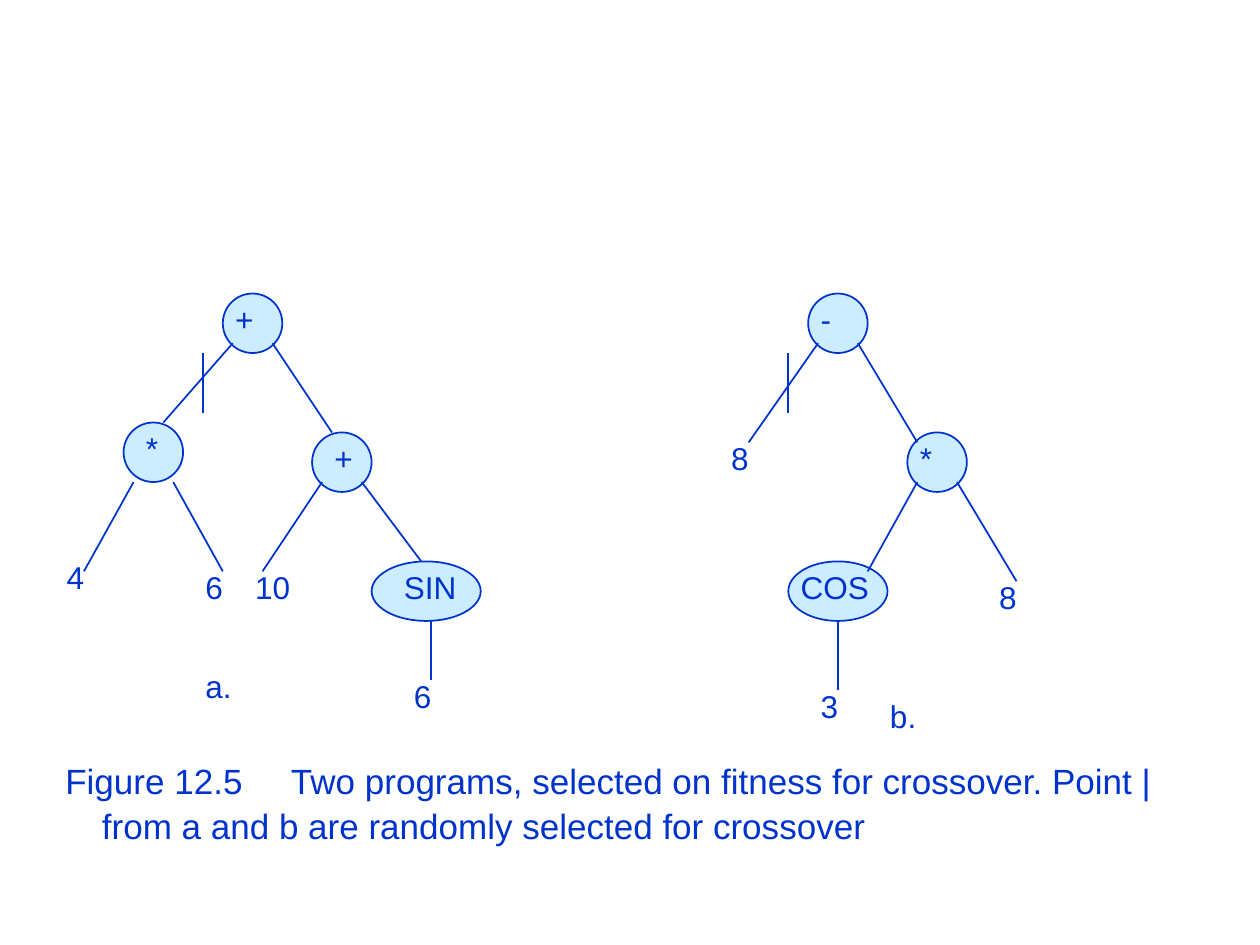
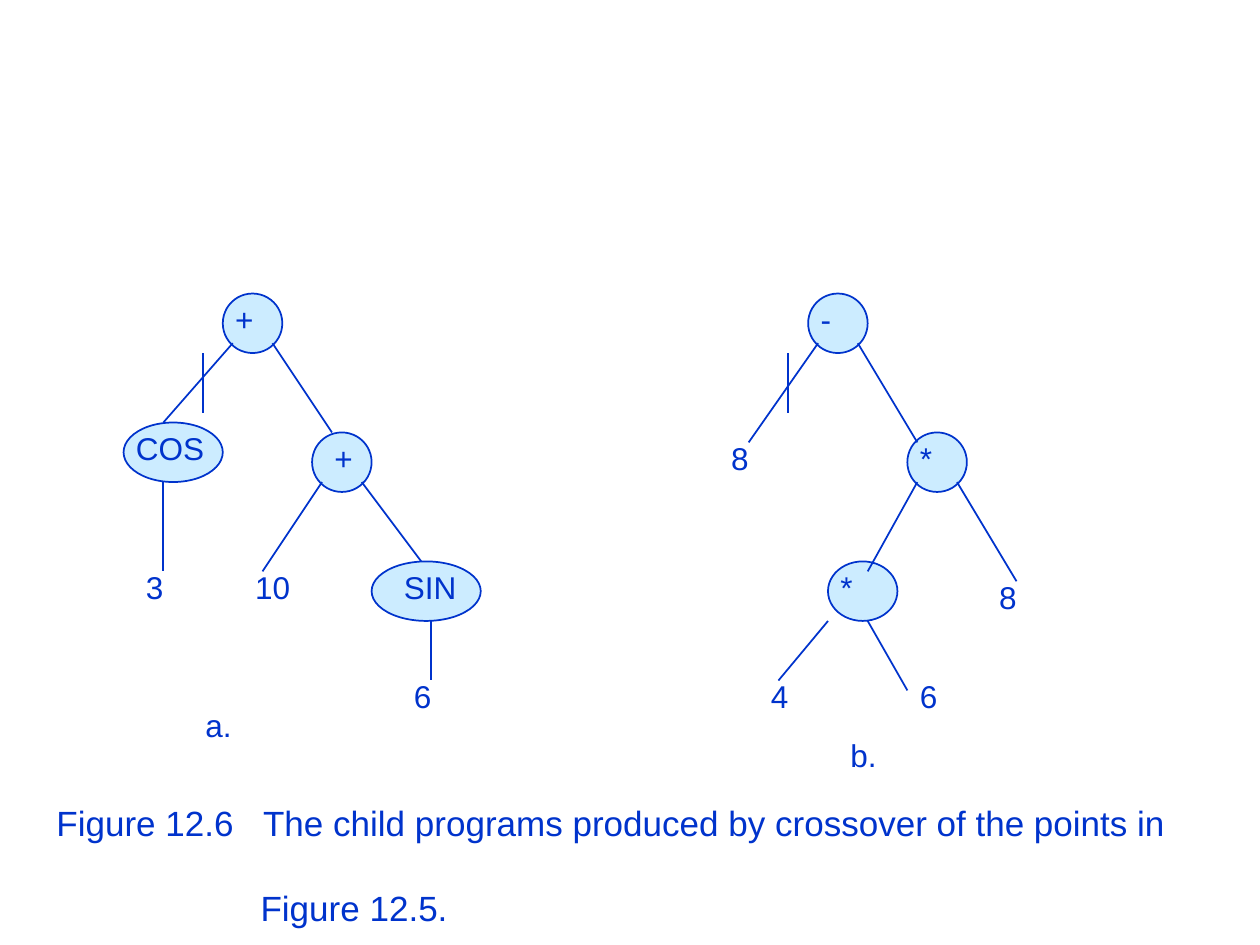
from lxml.etree import SubElement
from pptx import Presentation
from pptx.dml.color import RGBColor as Rgb
from pptx.enum.shapes import MSO_CONNECTOR as Connector, MSO_SHAPE as Shape
from pptx.oxml.ns import qn
from pptx.util import Inches, Pt

COLORS = {"ink": "0033CC", "node": "CCECFF"}
FONT = "Arial"

deck = Presentation()
deck.slide_width, deck.slide_height = Inches(10), Inches(7.5)
CELL = deck.slide_width / 127
LEFT, TOP = Inches(0.43), Inches(2.33)
NODE_HEIGHT, LABEL_HEIGHT = 6, 5


def place(column, row):
    return round(LEFT + column * CELL), round(TOP + row * CELL)


def write(para, text, size):
    para.text = text
    para.font.name = FONT
    para.font.size = Pt(size)
    para.font.color.rgb = Rgb.from_string(COLORS["ink"])


# nodes: column, row, width
shared_nodes = [(17, 0, 6), (26, 14, 6), (32, 27, 11), (86, 14, 6), (76, 0, 6)]
# branches: from column, from row, to column, to row
shared_branches = [
    (18, 5, 11, 13), (22, 5, 28, 14), (31, 19, 37, 27), (27, 19, 21, 28),
    (38, 33, 38, 39), (77, 5, 70, 15), (81, 5, 87, 15), (87, 19, 82, 28),
    (91, 19, 97, 29),
]
crossover_points = [(15, 6, 15, 12), (74, 6, 74, 12)]
# labels: text, column, row, width
shared_labels = [
    ("+", 17, 0, 7), ("+", 27, 14, 7), ("10", 19, 27, 7), ("SIN", 34, 27, 9),
    ("6", 35, 38, 7), ("-", 76, 0, 7), ("8", 67, 14, 7), ("*", 86, 14, 7),
    ("8", 94, 28, 7),
]

figures = [
    {
        "nodes": [(7, 13, 6), (74, 27, 10)],
        "branches": [(12, 19, 17, 28), (8, 19, 3, 28), (79, 33, 79, 40)],
        "labels": [
            ("*", 8, 13, 7), ("4", 0, 26, 7), ("6", 14, 27, 7),
            ("COS", 74, 27, 13), ("3", 76, 39, 7),
            ("a.", 14, 37, 7), ("b.", 83, 40, 7),
        ],
        "caption_at": (0.42, 5.95, 9.25, 0.9),
        "line_spacing": 1.08,
        "caption": [
            ("Figure 12.5\tTwo programs, selected on fitness for crossover. Point | "
             "from a and b are randomly selected for crossover", 0.29, -0.29, 1.72, 0),
        ],
    },
    {
        "nodes": [(7, 13, 10), (78, 27, 7)],
        "branches": [(11, 19, 11, 28), (78, 33, 73, 39), (82, 33, 86, 40)],
        "labels": [
            ("COS", 7, 13, 14), ("3", 8, 27, 7), ("*", 78, 27, 13),
            ("4", 71, 38, 7), ("6", 86, 38, 9),
            ("a.", 14, 41, 7), ("b.", 79, 44, 9),
        ],
        "caption_at": (0.35, 6.35, 9.34, 1.1),
        "line_spacing": 0.9,
        "caption": [
            ("Figure 12.6\tThe child programs produced by crossover of the points in",
             1.64, -1.64, 1.64, 0),
            ("Figure 12.5.", 1.62, 0, None, 27),
        ],
    },
]

for figure in figures:
    page = deck.slides.add_slide(deck.slide_layouts[6])

    for column, row, width in shared_nodes + figure["nodes"]:
        node = page.shapes.add_shape(
            Shape.OVAL, *place(column, row), round(width * CELL), round(NODE_HEIGHT * CELL))
        node.shadow.inherit = False
        node.fill.solid()
        node.fill.fore_color.rgb = Rgb.from_string(COLORS["node"])
        node.line.color.rgb = Rgb.from_string(COLORS["ink"])
        node.line.width = Pt(1)

    for x1, y1, x2, y2 in shared_branches + figure["branches"] + crossover_points:
        branch = page.shapes.add_connector(Connector.STRAIGHT, *place(x1, y1), *place(x2, y2))
        branch.line.color.rgb = Rgb.from_string(COLORS["ink"])
        branch.line.width = Pt(1)
        SubElement(branch._element.spPr, qn("a:effectLst"))

    for text, column, row, width in shared_labels + figure["labels"]:
        label = page.shapes.add_textbox(
            *place(column, row), round(width * CELL), round(LABEL_HEIGHT * CELL))
        label.text_frame.word_wrap = True
        write(label.text_frame.paragraphs[0], text, 18)

    caption = page.shapes.add_textbox(*[Inches(side) for side in figure["caption_at"]])
    frame = caption.text_frame
    frame.word_wrap = True
    for number, (text, margin, indent, tab, gap) in enumerate(figure["caption"]):
        para = frame.add_paragraph() if number else frame.paragraphs[0]
        properties = para._p.get_or_add_pPr()
        properties.set("marL", str(Inches(margin)))
        properties.set("indent", str(Inches(indent)))
        if tab:
            stops = SubElement(properties, qn("a:tabLst"))
            SubElement(stops, qn("a:tab"), pos=str(Inches(tab)), algn="l")
        para.line_spacing = figure["line_spacing"]
        if gap:
            para.space_before = Pt(gap)
        write(para, text, 20)

deck.save("out.pptx")
